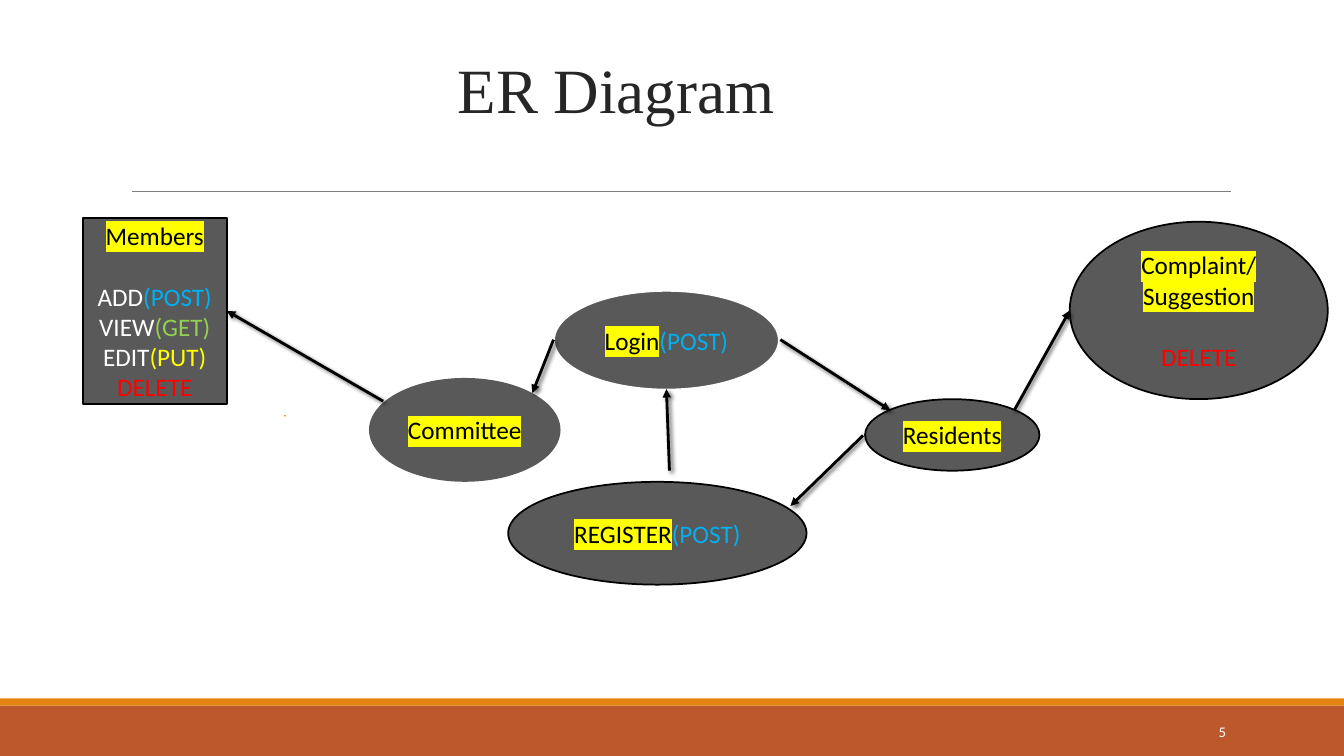
from lxml import etree
from pptx import Presentation
from pptx.dml.color import RGBColor
from pptx.enum.shapes import MSO_CONNECTOR, MSO_SHAPE
from pptx.enum.text import MSO_ANCHOR, MSO_AUTO_SIZE, PP_ALIGN
from pptx.oxml.ns import qn
from pptx.util import Pt

PX = 9144  # 100 px to the inch
STRAIGHT = MSO_CONNECTOR.STRAIGHT
RECTANGLE = MSO_SHAPE.RECTANGLE
OVAL = MSO_SHAPE.OVAL
NODE = MSO_SHAPE.FLOWCHART_CONNECTOR
TOP, MIDDLE = MSO_ANCHOR.TOP, MSO_ANCHOR.MIDDLE
CENTER, RIGHT = PP_ALIGN.CENTER, PP_ALIGN.RIGHT
RIGHT_SIDE = 3

BLACK = RGBColor(0x00, 0x00, 0x00)
WHITE = RGBColor(0xFF, 0xFF, 0xFF)
INK = RGBColor(0x26, 0x26, 0x26)
DARK_GRAY = RGBColor(0x59, 0x59, 0x59)
GRAY = RGBColor(0x80, 0x80, 0x80)
ORANGE = RGBColor(0xE4, 0x83, 0x12)
RUST = RGBColor(0xBD, 0x58, 0x2C)
YELLOW = RGBColor(0xFF, 0xFF, 0x00)
BLUE = RGBColor(0x00, 0xB0, 0xF0)
GREEN = RGBColor(0x92, 0xD0, 0x50)
RED = RGBColor(0xFF, 0x00, 0x00)

BODY_FONT = {"name": "Calibri", "size": Pt(18)}
TITLE_FONT = {"name": "Times New Roman", "size": Pt(45)}
NUMBER_FONT = {"name": "Calibri", "size": Pt(10.5)}
FRAME = {"word_wrap": True, "auto_size": MSO_AUTO_SIZE.NONE}
NODE_FRAME = {**FRAME, "vertical_anchor": MIDDLE, "margin_left": 5 * PX,
              "margin_right": 5 * PX, "margin_top": 0, "margin_bottom": 0}
SECTION_GAP = Pt(22)

POST = ("(POST)", BLUE)
DELETE = ("DELETE", RED)

# Name: kind, box, outline (colour, points), operation lines
NODES = {
    "Login": (NODE, (549, 288, 224, 99), (WHITE, 2), []),
    "Committee": (NODE, (366, 375, 190, 103), None, []),
    "REGISTER": (NODE, (504, 478, 296, 102), (BLACK, 1.25), []),
    "Residents": (NODE, (858, 396, 173, 71), (BLACK, 1.25), []),
    "Members": (RECTANGLE, (82, 216, 143, 185), (BLACK, 1.25), [
        [("ADD", WHITE), POST],
        [("VIEW", WHITE), ("(GET)", GREEN)],
        [("EDIT", WHITE), ("(PUT)", YELLOW)],
        [DELETE],
    ]),
    "Complaint/Suggestion": (OVAL, (1061, 220, 256, 176), (BLACK, 1.25),
                             [[DELETE]]),
}
POSTING_NODES = ("Login", "REGISTER")

ARROWS = [
    (549, 337, 528, 390),   # Login to Committee
    (774, 337, 883, 407),   # Login to Residents
    (856, 432, 784, 502),   # Residents to REGISTER
    (664, 467, 661, 386),   # REGISTER to Login
    (1006, 407, 1061, 308),  # Residents to Complaint/Suggestion
]
MEMBERS_ARROW = (380, 398, 225, 308)


def scale(lengths):
    return [length * PX for length in lengths]


def apply_format(target, values):
    for name, value in values.items():
        setattr(target, name, value)


def add_run(paragraph, text, color, font, highlight=None):
    run = paragraph.add_run()
    run.text = text
    apply_format(run.font, font)
    run.font.color.rgb = color
    if highlight is not None:
        mark = etree.Element(qn("a:highlight"))
        etree.SubElement(mark, qn("a:srgbClr"), val=str(highlight))
        run.font.fill  # the fill element precedes the highlight
        run._r.rPr.find(qn("a:solidFill")).addnext(mark)


def add_block(slide, kind, box, fill, outline=None):
    shape = slide.shapes.add_shape(kind, *scale(box))
    shape.shadow.inherit = False
    shape.fill.solid()
    shape.fill.fore_color.rgb = fill
    if outline:
        color, width = outline
        shape.line.color.rgb = color
        shape.line.width = Pt(width)
    else:
        shape.line.fill.background()
    return shape


def add_node(slide, name):
    kind, box, outline, operations = NODES[name]
    shape = add_block(slide, kind, box, DARK_GRAY, outline)
    frame = shape.text_frame
    apply_format(frame, NODE_FRAME)
    heading = frame.paragraphs[0]
    heading.alignment = CENTER
    add_run(heading, name, BLACK, BODY_FONT, YELLOW)
    if name in POSTING_NODES:
        add_run(heading, *POST, BODY_FONT)
    for index, operation in enumerate(operations):
        paragraph = frame.add_paragraph()
        paragraph.alignment = CENTER
        if index == 0:
            paragraph.space_before = SECTION_GAP
        for text, color in operation:
            add_run(paragraph, text, color, BODY_FONT)
    return shape


def add_line(slide, ends, color, width):
    line = slide.shapes.add_connector(STRAIGHT, *scale(ends))
    line.line.color.rgb = color
    line.line.width = Pt(width)
    effects = etree.SubElement(line._element.spPr, qn("a:effectLst"))
    return line, effects


def add_arrow(slide, ends):
    arrow, effects = add_line(slide, ends, BLACK, 2)
    etree.SubElement(arrow.line._get_or_add_ln(), qn("a:tailEnd"),
                     type="triangle")
    shadow = etree.SubElement(effects, qn("a:outerShdw"), blurRad=str(Pt(3)),
                              dist=str(Pt(2)), dir="2700000")
    color = etree.SubElement(shadow, qn("a:srgbClr"), val=str(BLACK))
    etree.SubElement(color, qn("a:alpha"), val="60000")
    return arrow


def fill_text(shape, text, color, font, anchor, alignment):
    apply_format(shape.text_frame, {**FRAME, "vertical_anchor": anchor})
    paragraph = shape.text_frame.paragraphs[0]
    paragraph.alignment = alignment
    add_run(paragraph, text, color, font)


def main():
    presentation = Presentation()
    presentation.slide_width, presentation.slide_height = scale((1333, 750))
    slide = presentation.slides.add_slide(presentation.slide_layouts[5])

    # Footer bands and title rule
    add_block(slide, RECTANGLE, (0, 700, 1333, 50), RUST)
    add_block(slide, RECTANGLE, (0, 693, 1333, 7), ORANGE)
    add_line(slide, (131, 190, 1221, 190), GRAY, 0.5)

    # Title
    title = slide.shapes.title
    title.left, title.top, title.width, title.height = scale((284, 45, 654, 86))
    fill_text(title, "ER Diagram", INK, TITLE_FONT, TOP, CENTER)

    # Entities
    shapes = {name: add_node(slide, name) for name in NODES}

    # Relations
    for ends in ARROWS:
        add_arrow(slide, ends)
    members_arrow = add_arrow(slide, MEMBERS_ARROW)
    members_arrow.end_connect(shapes["Members"], RIGHT_SIDE)

    # Small orange tick
    add_line(slide, (282, 413, 283, 412), ORANGE, 1)

    # Slide number
    number = slide.shapes.add_textbox(*scale((1083, 706, 143, 40)))
    fill_text(number, "5", WHITE, NUMBER_FONT, MIDDLE, RIGHT)

    presentation.save("out.pptx")


if __name__ == "__main__":
    main()
